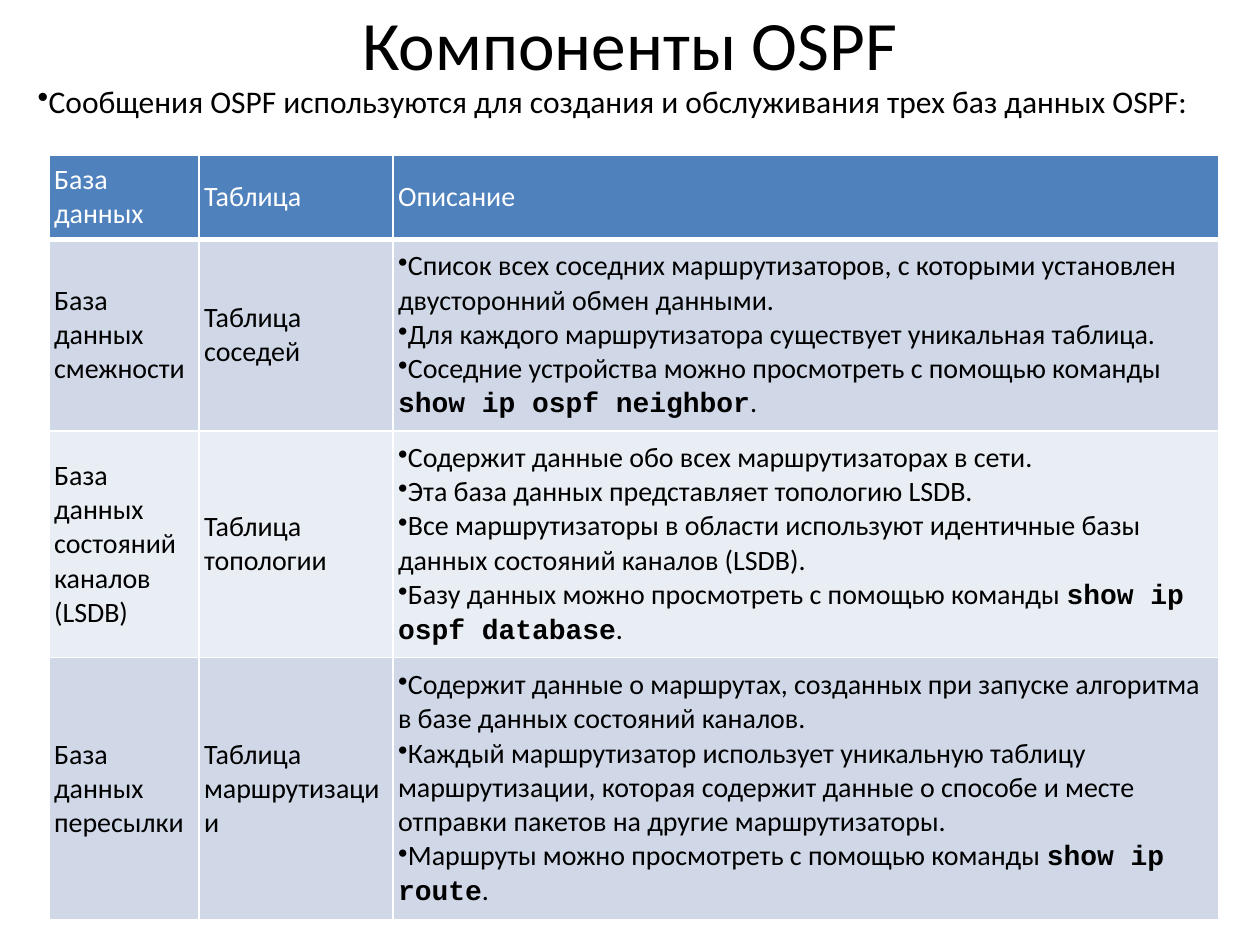
from dataclasses import dataclass

from lxml import etree
from pptx import Presentation
from pptx.dml.color import RGBColor
from pptx.enum.text import MSO_ANCHOR, PP_ALIGN
from pptx.oxml.ns import qn
from pptx.util import Inches, Pt

CENTER = PP_ALIGN.CENTER
LEFT = PP_ALIGN.LEFT
MIDDLE = MSO_ANCHOR.MIDDLE
TOP = MSO_ANCHOR.TOP

# Content: a tuple holds lead text, a command and the closing mark
TITLE = "Компоненты OSPF"
INTRO = "Сообщения OSPF используются для создания и обслуживания трех баз данных OSPF:"
HEADINGS = ["База данных", "Таблица", "Описание"]
DATABASES = [
    ("База данных смежности", "Таблица соседей", [
        "Список всех соседних маршрутизаторов, с которыми установлен двусторонний обмен данными.",
        "Для каждого маршрутизатора существует уникальная таблица.",
        ("Соседние устройства можно просмотреть с помощью команды ", "show ip ospf neighbor", "."),
    ]),
    ("База данных состояний каналов (LSDB)", "Таблица топологии", [
        "Содержит данные обо всех маршрутизаторах в сети.",
        "Эта база данных представляет топологию LSDB.",
        "Все маршрутизаторы в области используют идентичные базы данных состояний каналов (LSDB).",
        ("Базу данных можно просмотреть с помощью команды ", "show ip ospf database", "."),
    ]),
    ("База данных пересылки", "Таблица маршрутизации", [
        "Содержит данные о маршрутах, созданных при запуске алгоритма в базе данных состояний каналов.",
        "Каждый маршрутизатор использует уникальную таблицу маршрутизации, которая содержит данные "
        "о способе и месте отправки пакетов на другие маршрутизаторы.",
        ("Маршруты можно просмотреть с помощью команды ", "show ip route", "."),
    ]),
]
COLUMN_WIDTHS = [1.19, 1.54, 6.55]
ROW_HEIGHTS = [0.67, 1.52, 1.8, 2.08]


@dataclass(frozen=True)
class Theme:
    text_font: str = "Calibri"
    code_font: str = "Courier New"
    title_size: float = 39.6
    intro_size: float = 18
    table_size: float = 16
    ink: str = "000000"
    white: str = "FFFFFF"
    header: str = "4F81BD"
    bands: tuple = ("D0D8E8", "E9EDF4")


THEME = Theme()


def add_bullet(paragraph):
    properties = paragraph._p.get_or_add_pPr()
    properties.set("marL", "0")
    properties.set("indent", "0")
    etree.SubElement(properties, qn("a:buChar")).set("char", "•")


def write(paragraph, content, size, color, bullet=False, align=LEFT):
    paragraph.alignment = align
    if bullet:
        add_bullet(paragraph)
    paragraph.font.size = Pt(size)
    paragraph.font.color.rgb = RGBColor.from_string(color)
    if isinstance(content, str):
        paragraph.font.name = THEME.text_font
        paragraph.add_run().text = content
        return
    lead, command, ending = content
    for text, is_code in ((lead, False), (command, True), (ending, False)):
        run = paragraph.add_run()
        run.text = text
        run.font.name = THEME.code_font if is_code else THEME.text_font
        run.font.bold = is_code


def add_text(slide, box, content, size, anchor, **options):
    frame = slide.shapes.add_textbox(*map(Inches, box)).text_frame
    frame.word_wrap = True
    frame.vertical_anchor = anchor
    write(frame.paragraphs[0], content, size, THEME.ink, **options)


def set_borders(cell, bottom_width):
    properties = cell._tc.get_or_add_tcPr()
    widths = {"lnL": 1, "lnR": 1, "lnT": 1, "lnB": bottom_width}
    for index, (side, width) in enumerate(widths.items()):
        line = etree.Element(qn(f"a:{side}"), w=str(Pt(width)))
        fill = etree.SubElement(line, qn("a:solidFill"))
        etree.SubElement(fill, qn("a:srgbClr")).set("val", THEME.white)
        properties.insert(index, line)


def fill_cell(cell, content, fill, color, bottom_width):
    cell.fill.solid()
    cell.fill.fore_color.rgb = RGBColor.from_string(fill)
    set_borders(cell, bottom_width)
    cell.vertical_anchor = MIDDLE
    cell.margin_left = cell.margin_right = Inches(0.04)
    cell.margin_top = cell.margin_bottom = Inches(0.05)
    bullet = isinstance(content, list)
    frame = cell.text_frame
    for index, item in enumerate(content if bullet else [content]):
        paragraph = frame.add_paragraph() if index else frame.paragraphs[0]
        write(paragraph, item, THEME.table_size, color, bullet)


def add_database_table(slide):
    rows = [HEADINGS, *DATABASES]
    table = slide.shapes.add_table(
        len(rows), len(HEADINGS), Inches(0.39), Inches(1.23),
        Inches(sum(COLUMN_WIDTHS)), Inches(sum(ROW_HEIGHTS))).table
    table.first_row = table.horz_banding = False
    for column, width in zip(table.columns, COLUMN_WIDTHS):
        column.width = Inches(width)
    for r, (row, height) in enumerate(zip(rows, ROW_HEIGHTS)):
        table.rows[r].height = Inches(height)
        if r == 0:
            look = (THEME.header, THEME.white, 3)
        else:
            look = (THEME.bands[(r - 1) % 2], THEME.ink, 1)
        for c, content in enumerate(row):
            fill_cell(table.cell(r, c), content, *look)


def main():
    deck = Presentation()
    deck.slide_width, deck.slide_height = Inches(10), Inches(7.5)
    slide = deck.slides.add_slide(deck.slide_layouts[6])
    # Heading and introduction
    add_text(slide, (0.5, 0, 9, 0.68), TITLE, THEME.title_size, MIDDLE, align=CENTER)
    add_text(slide, (0.2, 0.6, 9.8, 0.71), INTRO, THEME.intro_size, TOP, bullet=True)
    # The three databases
    add_database_table(slide)
    deck.save("out.pptx")


if __name__ == "__main__":
    main()
